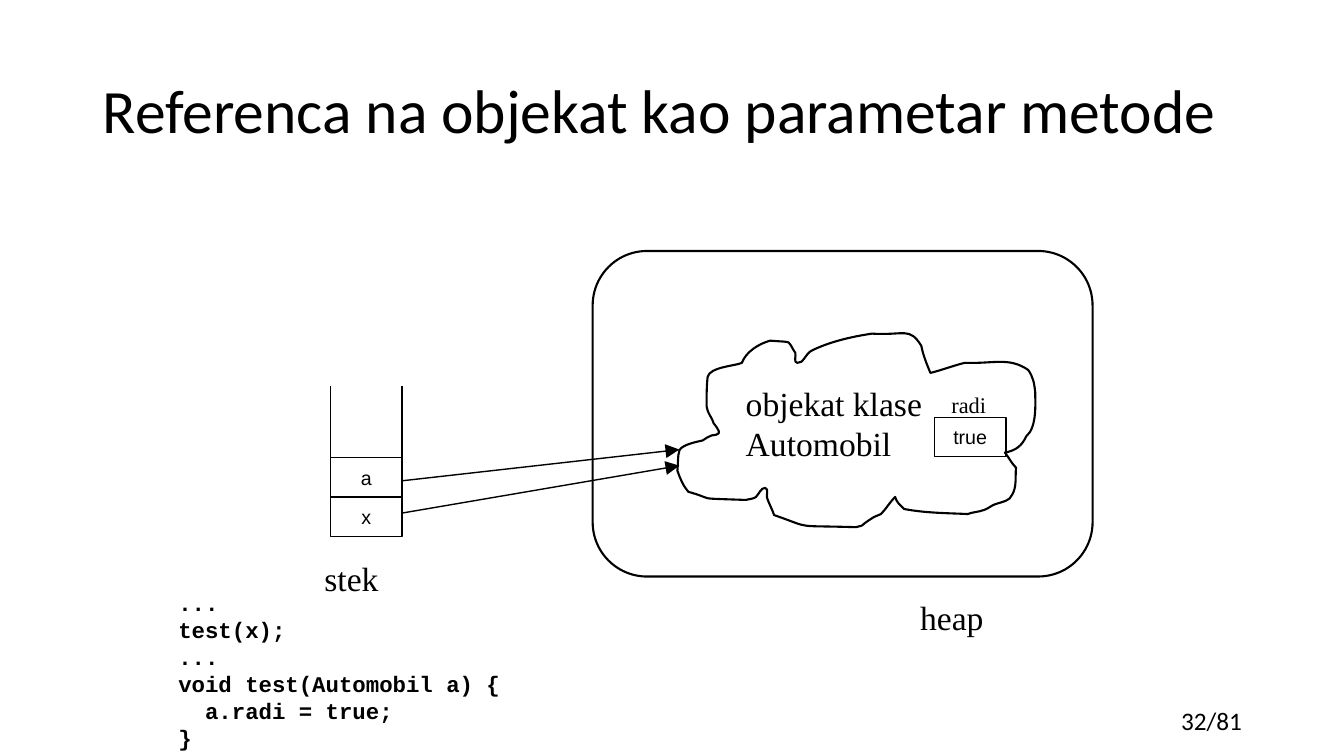
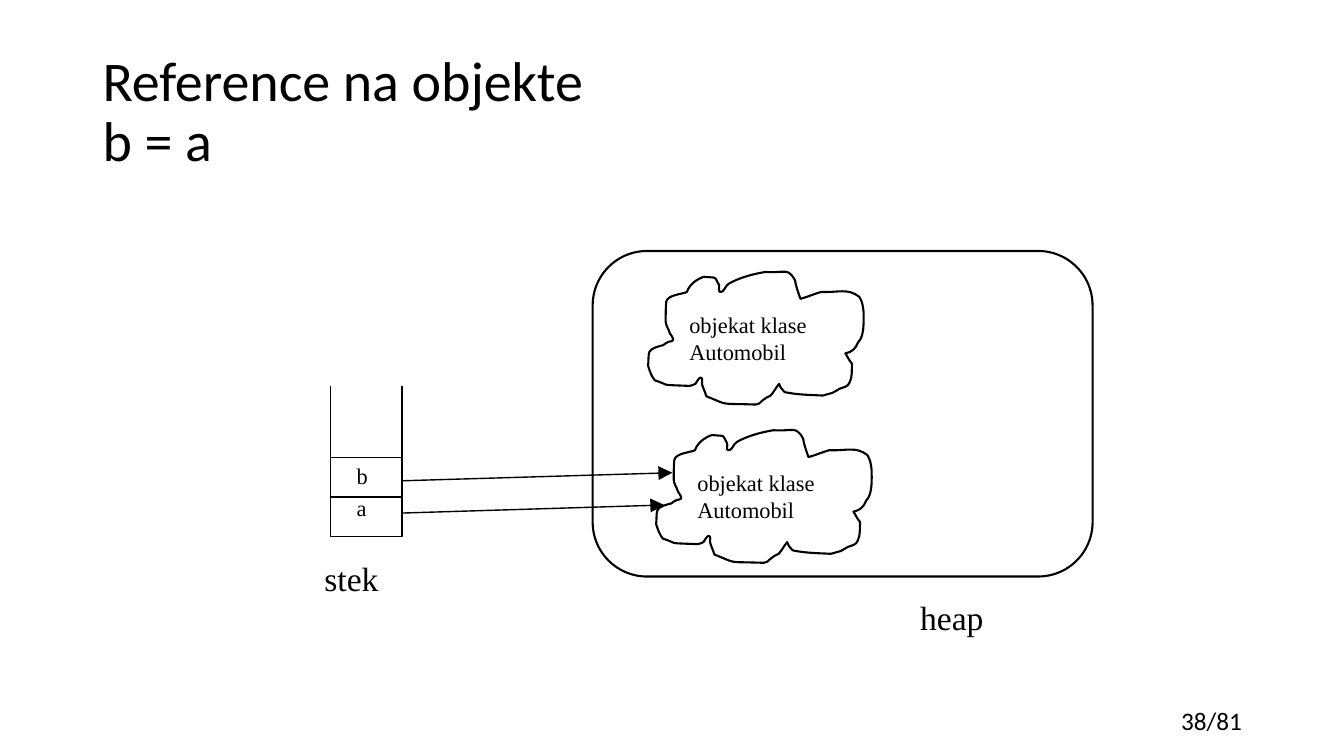
from lxml import etree
from pptx import Presentation
from pptx import util as u
from pptx.dml.color import RGBColor
from pptx.enum import shapes, text
from pptx.oxml.ns import qn

COLORS = {"ink": "000000"}
SANS, SERIF, LABEL, MONO = "Calibri", "Times New Roman", "Arial", "Courier New"
LEFT, CENTER, RIGHT = (text.PP_ALIGN.LEFT, text.PP_ALIGN.CENTER, text.PP_ALIGN.RIGHT)

# Regions shared by the slides: left, top, width, height in inches
TITLE = (0.92, 0.4, 11.5, 1.45)
PAGE = (9.61, 6.95, 2.81, 0.4)
STACK = (3.28, 3.83, 0.71, 1.49)
HEAP = (5.88, 2.49, 4.96, 3.23)
CELL_H = 0.39

# Cloud outline on a 357 x 200 grid: a start, then Bezier triples
CLOUD_GRID = (357, 200)
CLOUD_START = (64, 36)
CLOUD_CURVES = [
    (68, 25, 81, 17, 92, 14), (117, 16, 108, 13, 117, 26),
    (118, 29, 115, 36, 119, 36), (125, 37, 127, 27, 133, 24),
    (151, 15, 173, 10, 193, 7), (226, 9, 230, 0, 242, 19),
    (244, 29, 247, 36, 251, 46), (263, 43, 273, 39, 285, 36),
    (314, 37, 329, 30, 348, 43), (353, 50, 354, 56, 355, 65),
    (355, 76, 357, 100, 346, 109), (342, 118, 336, 123, 325, 125),
    (329, 130, 331, 135, 336, 140), (335, 149, 337, 159, 332, 167),
    (330, 173, 322, 174, 316, 176), (312, 177, 308, 181, 304, 182),
    (299, 184, 293, 184, 288, 186), (267, 185, 246, 185, 225, 181),
    (220, 176, 218, 175, 216, 169), (211, 174, 207, 181, 202, 186),
    (200, 187, 197, 188, 195, 189), (177, 200, 189, 196, 177, 199),
    (113, 197, 136, 201, 96, 187), (94, 181, 91, 176, 89, 170),
    (88, 167, 91, 161, 87, 160), (83, 160, 81, 166, 78, 169),
    (76, 171, 71, 171, 68, 172), (13, 170, 40, 172, 11, 164),
    (5, 157, 3, 151, 0, 143), (1, 136, 0, 129, 2, 123),
    (4, 117, 21, 114, 25, 113), (28, 111, 31, 109, 34, 108),
    (37, 107, 40, 108, 41, 106), (43, 104, 36, 96, 36, 96),
    (33, 87, 31, 89, 29, 79), (29, 69, 29, 59, 30, 50),
    (32, 40, 58, 39, 64, 36),
]


def color(name):
    return RGBColor.from_string(COLORS[name])


def inches(*lengths):
    return [u.Inches(v) for v in lengths]


def inside(box, dx, dy, w, h):
    """A box of size w, h, offset from the corner of another box."""
    return box[0] + dx, box[1] + dy, w, h


def write(tf, lines, font, size, align=LEFT, bold=False, spacing=None):
    for i, line in enumerate(lines):
        p = tf.paragraphs[0] if i == 0 else tf.add_paragraph()
        p.alignment = align
        if spacing:
            p.line_spacing = spacing
        for j, part in enumerate(line.split("\n")):
            if j:
                p.add_line_break()
            r = p.add_run()
            r.text = part
            r.font.name, r.font.size, r.font.bold = font, u.Pt(size), bold
            r.font.color.rgb = color("ink")


def add_text(s, box, lines, font, size, middle=False, **style):
    tf = s.shapes.add_textbox(*inches(*box)).text_frame
    tf.word_wrap = True
    if middle:
        tf.vertical_anchor = text.MSO_ANCHOR.MIDDLE
    write(tf, lines, font, size, **style)


def outline(sp, width):
    sp.fill.background()
    sp.line.color.rgb = color("ink")
    sp.line.width = u.Pt(width)
    sp.shadow.inherit = False


def add_cell(s, box, label=None):
    sp = s.shapes.add_shape(shapes.MSO_SHAPE.RECTANGLE, *inches(*box))
    outline(sp, 1)
    if label:
        tf = sp.text_frame
        tf.word_wrap = False
        tf.vertical_anchor = text.MSO_ANCHOR.MIDDLE
        write(tf, [label], LABEL, 14, CENTER)


def add_line(s, start, end, arrow=False):
    cn = s.shapes.add_connector(shapes.MSO_CONNECTOR.STRAIGHT, *inches(*start, *end))
    cn.line.color.rgb = color("ink")
    cn.line.width = u.Pt(1)
    pr = cn._element.spPr
    if arrow:
        etree.SubElement(pr.find(qn("a:ln")), qn("a:tailEnd"),
                         type="triangle", w="lg", len="lg")
    etree.SubElement(pr, qn("a:effectLst"))


def add_cloud(s, box, label_box, size):
    """An object on the heap with its class name."""
    x, y, w, h = box

    def place(px, py):
        return inches(x + w * px / CLOUD_GRID[0], y + h * py / CLOUD_GRID[1])

    fb = s.shapes.build_freeform(*place(*CLOUD_START))
    fb.add_line_segments([place(*curve[4:]) for curve in CLOUD_CURVES], close=True)
    sp = fb.convert_to_shape()
    # Bend each straight segment into its Bezier curve
    segments = list(sp._element.iter(qn("a:lnTo")))
    for segment, curve in zip(segments, CLOUD_CURVES):
        segment.tag = qn("a:cubicBezTo")
        for k in (2, 0):
            px, py = place(*curve[k:k + 2])
            pt = etree.Element(qn("a:pt"), x=str(px - sp.left), y=str(py - sp.top))
            segment.insert(0, pt)
    outline(sp, 1.5)
    add_text(s, inside(box, *label_box), ["objekat klase Automobil"], SERIF, size)


def add_stack(s, box, targets, labels=(None, None)):
    """Open-topped stack with two cells, each pointing at a target."""
    x, y, w, h = box
    for side in (x, x + w):
        add_line(s, (side, y + h), (side, y))
    for i, (label, target) in enumerate(zip(labels, targets)):
        add_cell(s, inside(box, 0, h - (2 - i) * CELL_H, w, CELL_H), label)
        add_line(s, (x + w, y + 0.94 + 0.32 * i), target, arrow=True)
    add_text(s, inside(box, -0.16, 1.66, 1.26, 0.5), ["stek"], SERIF, 24)


def add_heap(s, box):
    sp = s.shapes.add_shape(shapes.MSO_SHAPE.ROUNDED_RECTANGLE, *inches(*box))
    sp.adjustments[0] = 0.167
    outline(sp, 1.5)
    add_text(s, inside(box, 3.15, 3.38, 1.5, 0.5), ["heap"], SERIF, 24)


def memory_slide(prs, title, size, page):
    """Slide with the title, page number and heap frame."""
    s = prs.slides.add_slide(prs.slide_layouts[6])
    add_text(s, PAGE, [page], SANS, 18, align=RIGHT)
    add_text(s, TITLE, [title], SANS, size, middle=True, spacing=0.9)
    add_heap(s, HEAP)
    return s


def parameter_slide(prs):
    s = memory_slide(prs, "Referenca na objekat kao parametar metode", 44, "32/81")
    cloud = inside(HEAP, 0.84, 0.75, 3.57, 2)
    add_cloud(s, cloud, (0.58, 0.51, 2.44, 0.91), 24)
    add_stack(s, STACK, [(6.74, 4.46), (6.74, 4.62)], ("a", "x"))
    # Field of the object
    add_cell(s, inside(cloud, 2.55, 0.9, 0.71, CELL_H), "true")
    add_text(s, inside(cloud, 2.62, 0.59, 0.71, 0.37), ["radi"], SERIF, 16)
    # Code of the call
    code = ["...", "test(x);", "...", "void test(Automobil a) {", "  a.radi = true;", "}"]
    add_text(s, (1.67, 5.8, 8.58, 1.72), code, MONO, 16, bold=True)


def assignment_slide(prs):
    s = memory_slide(prs, "Reference na objekte\nb = a", 40, "38/81")
    for dx, dy in ((0.55, 0.16), (0.63, 1.73)):
        add_cloud(s, inside(HEAP, dx, dy, 2.15, 1.37), (0.31, 0.39, 1.42, 0.64), 16)
    add_stack(s, STACK, [(6.67, 4.69), (6.59, 5.01)])
    # Variable names
    for i, name in enumerate("ba"):
        add_text(s, inside(STACK, 0.16, 0.71 + 0.31 * i, 0.47, 0.37), [name], SERIF, 16)


def main():
    prs = Presentation()
    prs.slide_width, prs.slide_height = inches(40 / 3, 7.5)
    parameter_slide(prs)
    assignment_slide(prs)
    prs.save("out.pptx")


if __name__ == "__main__":
    main()
